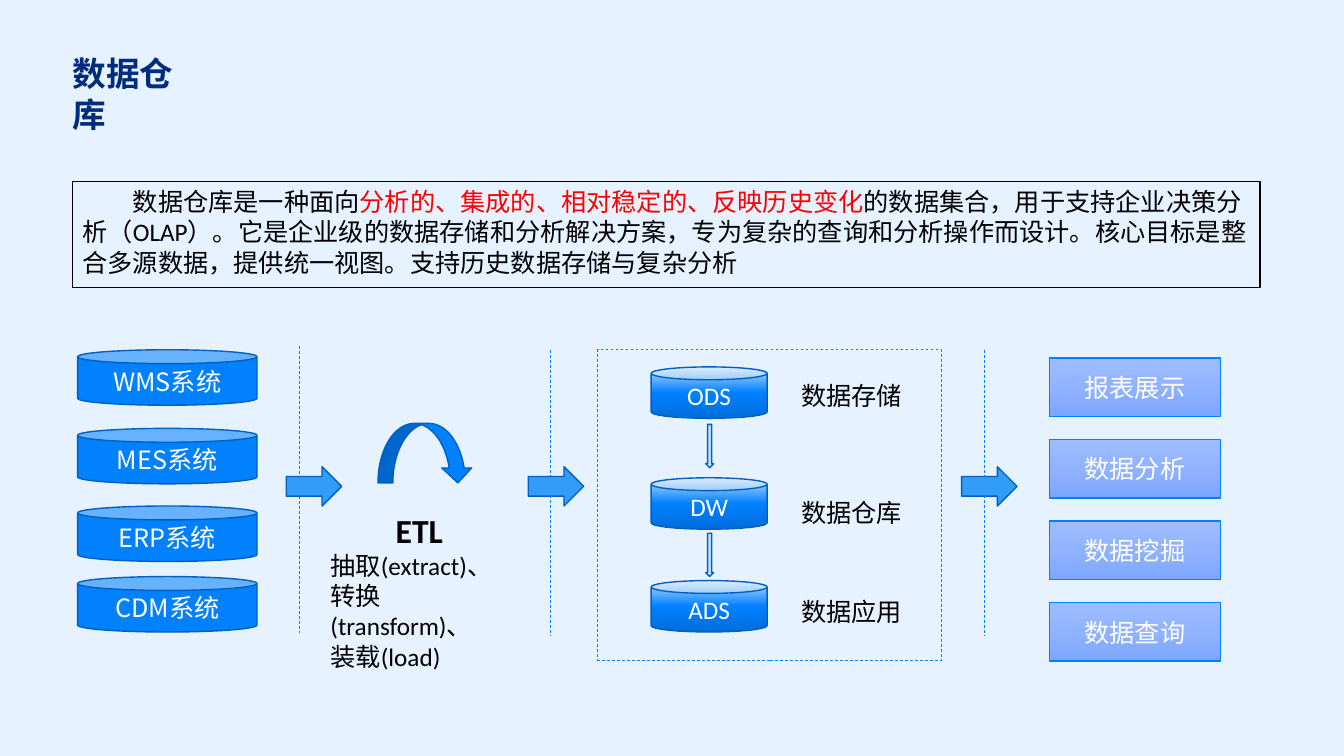
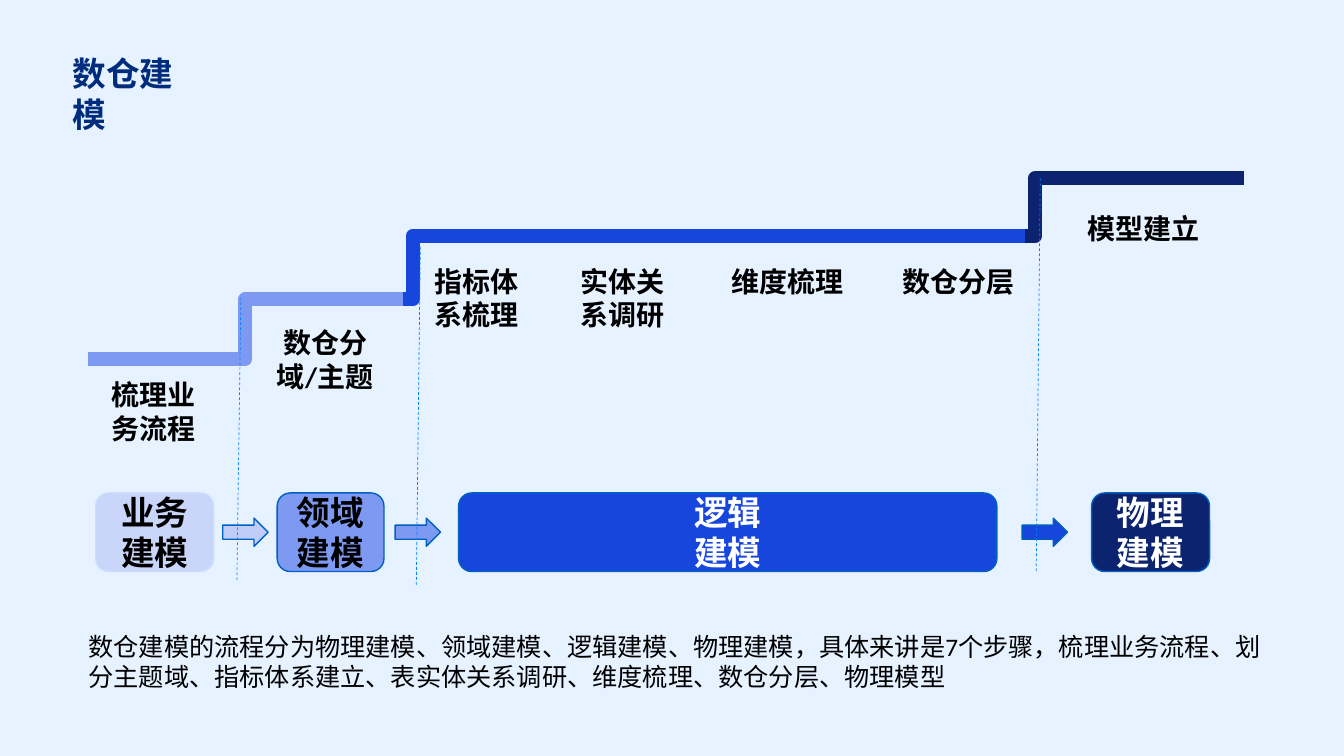
from copy import deepcopy

from lxml.etree import SubElement
from pptx import Presentation
from pptx.dml.color import RGBColor
from pptx.enum.dml import MSO_LINE
from pptx.enum.shapes import MSO_CONNECTOR, MSO_SHAPE
from pptx.enum.text import MSO_ANCHOR, PP_ALIGN
from pptx.oxml.ns import qn
from pptx.util import Inches, Pt

# Grid of square cells, 133.33 columns by 75 rows
CELL = Inches(0.1)
COLUMNS, ROWS = 133.33, 75
CJK_FONT = "Noto Sans CJK SC"

COLORS = {
    "background": "E6F2FF", "title": "002C7D", "text": "000000",
    "white": "FFFFFF", "highlight": "FF0000",
    "blue": "0180FF", "outline": "0060C0", "flow": "319DF9", "drop": "CBE7FF",
    "pale": "C0CDF8", "pale_edge": "CBDEFF",
    "light": "7D99F1", "royal": "1746DD", "navy": "0C236F",
}
LAYER_GRADIENT = ["C0DFFF", "0180FF", "006DDA"]
REPORT_GRADIENT = ["9EBDFF", "91B2FF", "7CA7FF"]


def add_block(slide, kind, box, lines=(), fill=None, edge=None, weight=1, size=18,
              color="text", bold=False, font="Calibri", align=PP_ALIGN.LEFT,
              anchor=MSO_ANCHOR.TOP):
    """Add a preset shape, or a text box if kind is None; box is in grid cells.

    A list as fill gives a gradient from top to bottom.
    """
    place = [round(cells * CELL) for cells in box]
    if kind is None:
        block = slide.shapes.add_textbox(*place)
    else:
        block = slide.shapes.add_shape(kind, *place)
        block.shadow.inherit = False
        if isinstance(fill, list):
            block.fill.gradient()
            stop_list = block.fill._xPr.find(".//" + qn("a:gsLst"))
            stop_list.insert(1, deepcopy(stop_list[0]))
            for i, (stop, tone) in enumerate(zip(block.fill.gradient_stops, fill)):
                stop.color.rgb = RGBColor.from_string(tone)
                stop.position = i / 2
            block.fill.gradient_angle = 270
        elif fill:
            block.fill.solid()
            block.fill.fore_color.rgb = RGBColor.from_string(COLORS[fill])
        else:
            block.fill.background()
        block.line.color.rgb = RGBColor.from_string(COLORS[edge])
        block.line.width = Pt(weight)

    frame = block.text_frame
    frame.word_wrap = True
    frame.vertical_anchor = anchor
    for i, line in enumerate(lines):
        paragraph = frame.add_paragraph() if i else frame.paragraphs[0]
        paragraph.add_run().text = line
        paragraph.alignment = align
        paragraph.font.size = Pt(size)
        paragraph.font.bold = bold
        paragraph.font.name = font
        paragraph.font.color.rgb = RGBColor.from_string(COLORS[color])
        defaults = paragraph._p.pPr.find(qn("a:defRPr"))
        SubElement(defaults, qn("a:ea")).set("typeface", CJK_FONT)
    return block


def add_line(slide, start, end, color="blue", weight=0.5, bend=None):
    """Add a dashed straight line, or a solid step that turns at share bend."""
    kind = MSO_CONNECTOR.STRAIGHT if bend is None else MSO_CONNECTOR.ELBOW
    line = slide.shapes.add_connector(
        kind, *[round(cells * CELL) for cells in (*start, *end)])
    line.line.color.rgb = RGBColor.from_string(COLORS[color])
    line.line.width = Pt(weight)
    properties = line._element.spPr
    SubElement(properties, qn("a:effectLst"))
    if bend is None:
        line.line.dash_style = MSO_LINE.DASH
    else:
        geometry = properties.find(qn("a:prstGeom"))
        guides = geometry.find(qn("a:avLst"))
        if guides is None:
            guides = SubElement(geometry, qn("a:avLst"))
        guide = SubElement(guides, qn("a:gd"))
        guide.set("name", "adj1")
        guide.set("fmla", f"val {round(bend * 100000)}")


prs = Presentation()
prs.slide_width, prs.slide_height = round(COLUMNS * CELL), ROWS * CELL
backdrop = prs.slide_master.background.fill
backdrop.solid()
backdrop.fore_color.rgb = RGBColor.from_string(COLORS["background"])

slides = []
for heading in ("数据仓库", "数仓建模"):
    slide = prs.slides.add_slide(prs.slide_layouts[6])
    title = add_block(slide, None, (7.2, 5.3, 13.3, 4), [heading], size=24,
                      color="title", bold=True, font="Arial").text_frame
    title.word_wrap = False
    title.margin_left = title.margin_right = 0
    title.margin_top = title.margin_bottom = 0
    slides.append(slide)
warehouse, modeling = slides
centered = {"align": PP_ALIGN.CENTER, "anchor": MSO_ANCHOR.MIDDLE}

# Data warehouse: definition
definition = add_block(warehouse, MSO_SHAPE.RECTANGLE, (7.2, 18, 117.8, 10.5),
                       ["数据仓库是一种面向"], edge="text", weight=0.75)
sentence = definition.text_frame.paragraphs[0]
sentence._p.pPr.set("indent", str(5 * CELL))
features = sentence.add_run()
features.text = "分析的、集成的、相对稳定的、反映历史变化"
features.font.color.rgb = RGBColor.from_string(COLORS["highlight"])
sentence.add_run().text = (
    "的数据集合，用于支持企业决策分析（OLAP）。它是企业级的数据存储和分析解决方案，"
    "专为复杂的查询和分析操作而设计。核心目标是整合多源数据，提供统一视图。"
    "支持历史数据存储与复杂分析")

# Data warehouse: source systems
for system, top in (("WMS系统", 34.7), ("MES系统", 42.5),
                    ("ERP系统", 50.2), ("CDM系统", 57.2)):
    add_block(warehouse, MSO_SHAPE.CAN, (7.7, top, 17.8, 5.5), [system], fill="blue",
              edge="outline", color="white", font=CJK_FONT, **centered)

# Data warehouse: ETL
add_block(warehouse, MSO_SHAPE.CURVED_DOWN_ARROW, (37.5, 42, 9.4, 5.9),
          fill="blue", edge="outline")
etl = add_block(warehouse, None, (31.8, 50.1, 19.6, 14.1),
                ["ETL", "抽取(extract)、", "转换(transform)、", "装载(load)"])
etl_heading = etl.text_frame.paragraphs[0]
etl_heading.alignment = PP_ALIGN.CENTER
etl_heading.font.size = Pt(24)
etl_heading.font.bold = True

# Data warehouse: layers
layer_frame = add_block(warehouse, MSO_SHAPE.RECTANGLE, (59.3, 34.7, 34.1, 30.8),
                        edge="blue", weight=0.5)
layer_frame.line.dash_style = MSO_LINE.DASH
for layer, top, role, role_top in (("ODS", 36.4, "数据存储", 37.2),
                                   ("DW", 47.4, "数据仓库", 48.8),
                                   ("ADS", 57.6, "数据应用", 58.7)):
    add_block(warehouse, MSO_SHAPE.CAN, (64.6, top, 11.5, 5.1), [layer],
              fill=LAYER_GRADIENT, edge="outline", color="white", **centered)
    add_block(warehouse, None, (78.5, role_top, 13.6, 4), [role])
for top in (42.1, 52.9):
    add_block(warehouse, MSO_SHAPE.DOWN_ARROW, (70, top, 0.8, 4.3),
              fill="drop", edge="outline")

# Data warehouse: uses
for row, use in enumerate(("报表展示", "数据分析", "数据挖掘", "数据查询")):
    add_block(warehouse, MSO_SHAPE.RECTANGLE, (104.1, 35.5 + 8.1 * row, 17, 5.8), [use],
              fill=REPORT_GRADIENT, edge="blue", color="white", **centered)

# Data warehouse: borders between the parts, each crossed by an arrow
for border, top, bottom, arrow_left in ((29.7, 34.3, 62.8, 28.4),
                                        (54.6, 34.7, 63.1, 52.4),
                                        (97.7, 34.7, 63.1, 95.4)):
    add_line(warehouse, (border, top), (border, bottom))
    add_block(warehouse, MSO_SHAPE.RIGHT_ARROW, (arrow_left, 46.3, 5.5, 3.9),
              fill="flow", edge="outline")

# Modeling: summary
add_block(modeling, None, (7.8, 62.1, 118.8, 8),
          ["数仓建模的流程分为物理建模、领域建模、逻辑建模、物理建模，具体来讲是7个步骤，"
           "梳理业务流程、划分主题域、指标体系建立、表实体关系调研、维度梳理、数仓分层、物理模型"])

# Modeling: stages
for stage, left, width, fill, edge, color in (
        ("业务", 9.5, 11.7, "pale", "pale_edge", "text"),
        ("领域", 27.5, 10.6, "light", "outline", "text"),
        ("逻辑", 45.5, 53.4, "royal", "outline", "white"),
        ("物理", 108.3, 11.7, "navy", "outline", "white")):
    stage_box = add_block(modeling, MSO_SHAPE.ROUNDED_RECTANGLE, (left, 48.9, width, 7.8),
                          [stage, "建模"], fill=fill, edge=edge, size=24, color=color,
                          bold=True, **centered)
    if fill == "pale":
        tone = stage_box._element.spPr.find(qn("a:solidFill"))[0]
        SubElement(tone, qn("a:alpha")).set("val", "76000")

# Modeling: seven steps
for step, left, top, width in (
        ("梳理业务流程", 9.3, 37, 11.9), ("数仓分域/主题", 26.3, 31.8, 11.9),
        ("指标体系梳理", 41.3, 25.7, 11.9), ("实体关系调研", 55.8, 25.7, 11.9),
        ("维度梳理", 70.2, 25.7, 15.9), ("数仓分层", 87.1, 25.7, 15.9),
        ("模型建立", 105.5, 20.5, 15.9)):
    add_block(modeling, None, (left, top, width, 7.8), [step], size=20, bold=True,
              align=PP_ALIGN.CENTER)

# Modeling: staircase, highest stair at the back
for start, end, color, bend in (
        ((87.1, 23.4), (123.4, 17.7), "navy", 0.43),
        ((24.8, 29.7), (101.7, 23.4), "royal", 0.21),
        ((8.7, 35.6), (40, 29.7), "light", 0.5)):
    add_line(modeling, start, end, color, 10, bend)

# Modeling: passages between stages
for arrow_left, fill, border, top, bottom in (
        (22.1, "pale", 23.9, 29.5, 57.6),
        (39.2, "light", 41.7, 24.5, 58.2),
        (101.4, "royal", 103.2, 17.7, 56.8)):
    add_block(modeling, MSO_SHAPE.RIGHT_ARROW, (arrow_left, 51.4, 4.5, 2.8),
              fill=fill, edge="outline")
    add_line(modeling, (border, top), (border - 0.4, bottom))

prs.save("out.pptx")
